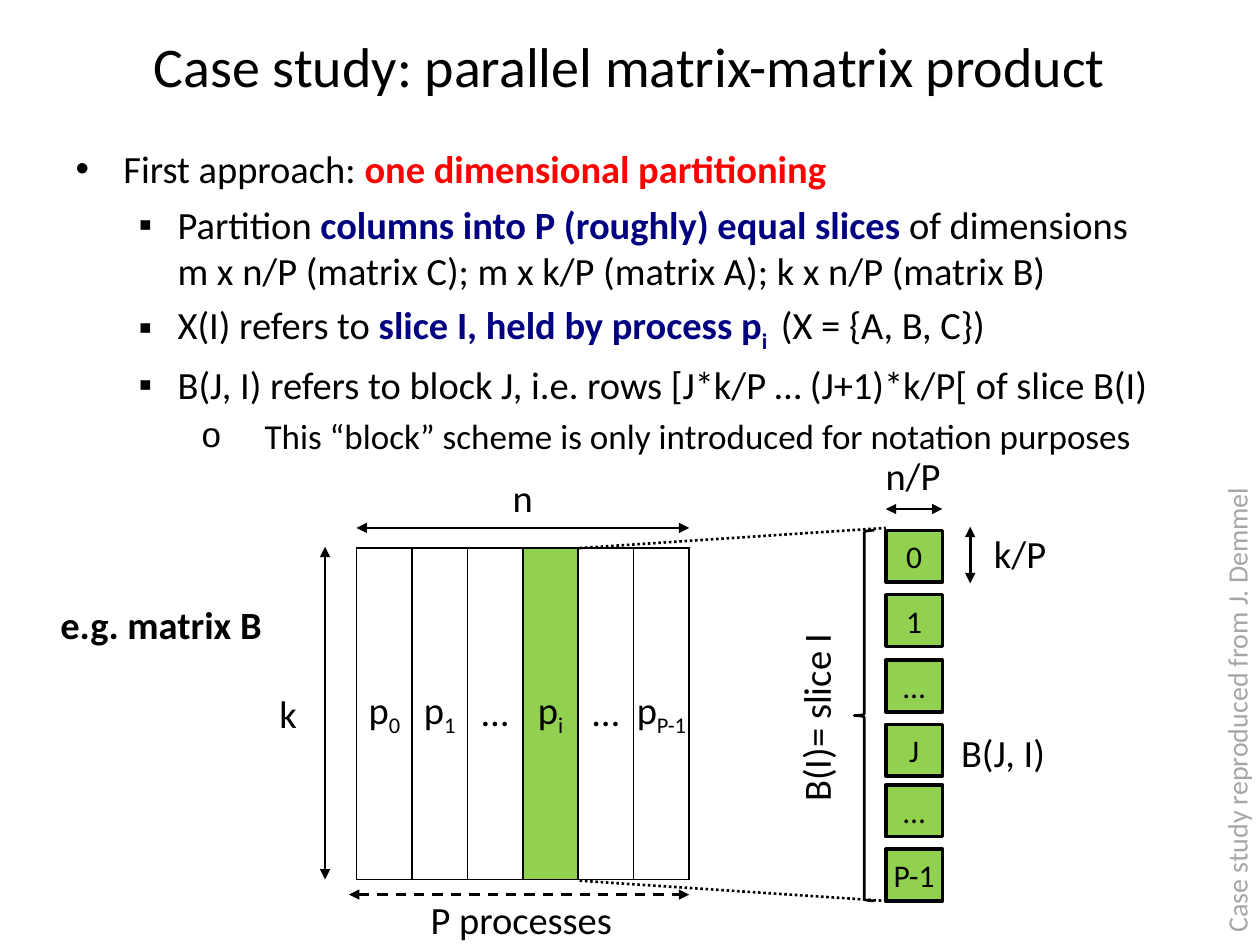
from lxml.etree import SubElement
from pptx import Presentation
from pptx.dml.color import RGBColor
from pptx.enum.dml import MSO_LINE
from pptx.enum.shapes import MSO_CONNECTOR, MSO_SHAPE
from pptx.enum.text import MSO_ANCHOR, MSO_AUTO_SIZE, PP_ALIGN
from pptx.oxml.ns import qn
from pptx.util import Inches, Pt

BLACK, RED, NAVY = "000000", "FF0000", "000080"
GREEN, GREY = "92D050", "A6A6A6"


def paint(code):
    return RGBColor.from_string(code)


def place(shape, *box):
    shape.left, shape.top, shape.width, shape.height = map(Inches, box)


class Deck:
    face = "Calibri"
    size = 22

    def __init__(self):
        self.file = Presentation()
        self.file.slide_width = Inches(10)
        self.file.slide_height = Inches(7.5)
        self.slide = self.file.slides.add_slide(self.file.slide_layouts[1])
        self.shapes = self.slide.shapes

    def style(self, run, size=None, color=BLACK, bold=False, sub=False):
        font = run.font
        font.name = self.face
        font.size = Pt(size or self.size)
        font.bold = bold
        font.color.rgb = paint(color)
        if sub:
            font._element.set("baseline", "-25000")

    def inset(self, frame):
        frame.margin_left = frame.margin_right = 0
        frame.margin_top = frame.margin_bottom = 0

    def title(self, text, *box):
        shape = self.shapes.title
        place(shape, *box)
        frame = shape.text_frame
        frame.text = text
        frame.auto_size = MSO_AUTO_SIZE.NONE
        frame.vertical_anchor = MSO_ANCHOR.MIDDLE
        line = frame.paragraphs[0]
        line.alignment = PP_ALIGN.CENTER
        self.style(line.runs[0], 32)

    def list(self, items, *box):
        shape = self.slide.placeholders[1]
        place(shape, *box)
        frame = shape.text_frame
        frame.auto_size = MSO_AUTO_SIZE.NONE
        marks = [("•", 0.38, 0.38), ("▪", 0.81, 0.31), ("o", 1.5, 0.5)]
        for spot, (level, parts) in enumerate(items):
            line = frame.add_paragraph() if spot else frame.paragraphs[0]
            line.level = level
            if not spot:
                line.space_before = Pt(0)
            mark, left, hang = marks[level]
            props = line._p.get_or_add_pPr()
            props.set("marL", str(Inches(left)))
            props.set("indent", str(-Inches(hang)))
            SubElement(props, qn("a:buFont")).set("typeface", "Arial")
            SubElement(props, qn("a:buChar")).set("char", mark)
            for text, look in parts:
                if text == "\n":
                    line.add_line_break()
                    continue
                run = line.add_run()
                run.text = text
                self.style(run, **look)

    def label(self, text, *box, turn=0, **look):
        shape = self.shapes.add_textbox(*map(Inches, box))
        shape.rotation = turn
        frame = shape.text_frame
        frame.word_wrap = False
        frame.auto_size = MSO_AUTO_SIZE.SHAPE_TO_FIT_TEXT
        frame.text = text
        self.style(frame.paragraphs[0].runs[0], **look)

    def line(self, *ends, dash=None, heads=True):
        link = self.shapes.add_connector(MSO_CONNECTOR.STRAIGHT, *map(Inches, ends))
        link.line.color.rgb = paint(BLACK)
        link.line.width = Pt(1.5)
        if dash:
            link.line.dash_style = dash
        if heads:
            stroke = link.line._get_or_add_ln()
            for tag in ("a:headEnd", "a:tailEnd"):
                SubElement(stroke, qn(tag)).set("type", "triangle")
        SubElement(link._element.spPr, qn("a:effectLst"))

    def shape(self, kind, *box, width, fill=None, text=None):
        shape = self.shapes.add_shape(kind, *map(Inches, box))
        shape.shadow.inherit = False
        shape.line.color.rgb = paint(BLACK)
        shape.line.width = Pt(width)
        if fill:
            shape.fill.solid()
            shape.fill.fore_color.rgb = paint(fill)
        else:
            shape.fill.background()
        if text:
            frame = shape.text_frame
            self.inset(frame)
            frame.vertical_anchor = MSO_ANCHOR.MIDDLE
            frame.text = text
            frame.paragraphs[0].alignment = PP_ALIGN.CENTER
            self.style(frame.paragraphs[0].runs[0], 18)

    def border(self, cell):
        props = cell._tc.get_or_add_tcPr()
        for side in ("a:lnL", "a:lnR", "a:lnT", "a:lnB"):
            edge = SubElement(props, qn(side))
            edge.set("w", str(Pt(1)))
            fill = SubElement(edge, qn("a:solidFill"))
            SubElement(fill, qn("a:srgbClr")).set("val", BLACK)

    def table(self, names, chosen, *box):
        grid = self.shapes.add_table(1, len(names), *map(Inches, box)).table
        grid.first_row = grid.horz_banding = False
        for spot, (base, sub) in enumerate(names):
            cell = grid.cell(0, spot)
            self.inset(cell)
            cell.vertical_anchor = MSO_ANCHOR.MIDDLE
            self.border(cell)
            if spot == chosen:
                cell.fill.solid()
                cell.fill.fore_color.rgb = paint(GREEN)
            else:
                cell.fill.background()
            line = cell.text_frame.paragraphs[0]
            line.text = base
            line.alignment = PP_ALIGN.CENTER
            self.style(line.runs[0])
            if sub:
                run = line.add_run()
                run.text = sub
                self.style(run, sub=True)


def main():
    deck = Deck()
    key = {"color": NAVY, "bold": True}
    deck.title("Case study: parallel matrix-matrix product", 0.5, 0.17, 9, 0.7)
    deck.list([
        (0, [("First approach: ", {}),
             ("one dimensional partitioning", {"color": RED, "bold": True})]),
        (1, [("Partition ", {}),
             ("columns into P (roughly) equal slices ", key),
             ("of dimensions", {}), ("\n", {}),
             ("m x n/P (matrix C); m x k/P (matrix A); k x n/P (matrix B)", {})]),
        (1, [("X(I) refers to ", {}), ("slice I, held by process p", key),
             ("i ", {**key, "sub": True}), (" (X = {A, B, C})", {})]),
        (1, [("B(J, I) refers to block J, i.e. rows [J*k/P … (J+1)*k/P[ of slice B(I)", {})]),
        (2, [("This “block” scheme is only introduced for notation purposes", {"size": 20})]),
    ], 0.5, 1.1, 9, 2.6)

    names = [("p", "0"), ("p", "1"), ("…", ""), ("p", "i"), ("…", ""), ("p", "P-1")]
    deck.table(names, 3, 2.83, 4.35, 2.64, 2.63)

    deck.line(5.47, 4.19, 2.83, 4.19)
    deck.line(2.58, 6.98, 2.58, 4.34)
    deck.line(7.48, 4.04, 7.03, 4.04)
    deck.line(7.7, 4.63, 7.7, 4.18)
    deck.line(2.77, 7.1, 5.47, 7.1, dash=MSO_LINE.DASH)
    for start, end in ((4.35, 4.19), (6.99, 7.15)):
        deck.line(4.6, start, 7.03, end, dash=MSO_LINE.ROUND_DOT, heads=False)

    tops = (4.21, 4.72, 5.24, 5.75, 6.23, 6.74)
    for top, text in zip(tops, ("0", "1", "…", "J", "…", "P-1")):
        deck.shape(MSO_SHAPE.RECTANGLE, 7.03, top, 0.45, 0.41,
                   width=2, fill=GREEN, text=text)
    deck.shape(MSO_SHAPE.LEFT_BRACE, 6.78, 4.21, 0.16, 2.94, width=1.5)

    for text, left, top, width in (
        ("k", 2.12, 5.43, 0.34),
        ("n", 3.97, 3.71, 0.36),
        ("B(J, I)", 7.53, 5.74, 0.87),
        ("n/P", 6.93, 3.54, 0.64),
        ("k/P", 7.79, 4.16, 0.62),
        ("P processes", 3.32, 7.06, 1.66),
    ):
        deck.label(text, left, top, width, 0.47)
    deck.label("e.g. matrix B", 0.38, 4.72, 1.82, 0.47, bold=True)
    deck.label("B(I)= slice I", 5.7, 5.45, 1.55, 0.47, turn=270)
    deck.label("Case study reproduced from J. Demmel", 7.94, 5.44, 3.75, 0.37,
               turn=270, size=16, color=GREY)
    deck.file.save("out.pptx")


if __name__ == "__main__":
    main()
